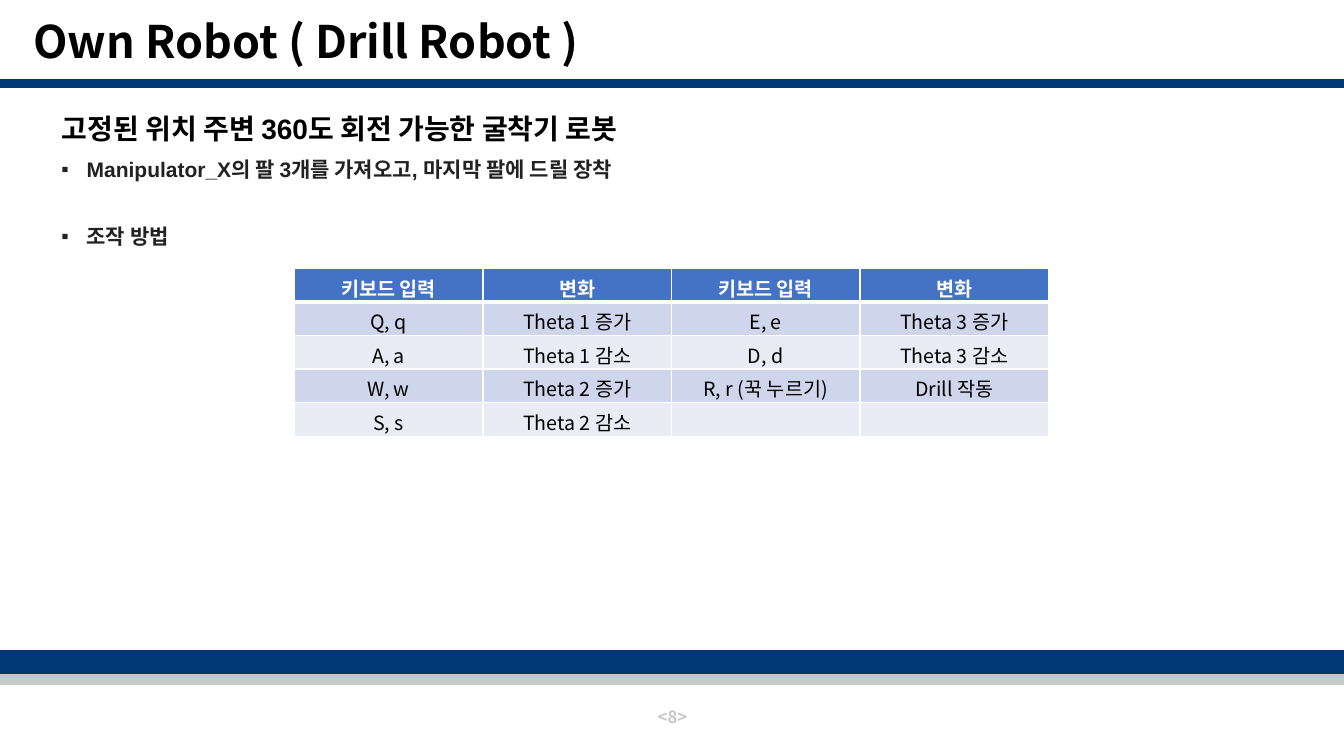
"""Build the drill robot slide with its keyboard control table."""
from lxml.etree import SubElement
from pptx import Presentation
from pptx.dml.color import RGBColor
from pptx.enum.shapes import MSO_SHAPE
from pptx.enum.text import MSO_ANCHOR, MSO_AUTO_SIZE, PP_ALIGN
from pptx.oxml.ns import qn
from pptx.util import Inches, Pt

COLORS = {
    "navy": "003876", "gray": "C7C8CA", "black": "000000", "text": "222222",
    "white": "FFFFFF", "header": "4472C4", "band": "CFD5EA", "light": "E9EBF5",
}
KOREAN_FONT = "Noto Sans CJK KR"


def add_text(paragraph, text, size, color, bold=True, font_name=KOREAN_FONT):
    run = paragraph.add_run()
    run.text = text
    run.font.size = Pt(size)
    run.font.bold = bold
    run.font.color.rgb = RGBColor.from_string(COLORS[color])
    run.font.name = font_name
    SubElement(run.font._element, qn("a:ea"), typeface=KOREAN_FONT)


def add_border(cell, side, width):
    properties = cell._tc.get_or_add_tcPr()
    line = SubElement(properties, qn(f"a:{side}"), w=str(Pt(width)))
    fill = SubElement(line, qn("a:solidFill"))
    SubElement(fill, qn("a:srgbClr"), val=COLORS["white"])


presentation = Presentation()
presentation.slide_width = Inches(13.33)
presentation.slide_height = Inches(7.5)
slide = presentation.slides.add_slide(presentation.slide_layouts[1])

for top, height, color in [(6.53, 0.26, "gray"), (6.46, 0.22, "navy"), (0.79, 0.08, "navy")]:
    bar = slide.shapes.add_shape(
        MSO_SHAPE.RECTANGLE, 0, Inches(top), Inches(13.33), Inches(height))
    bar.shadow.inherit = False
    bar.fill.solid()
    bar.fill.fore_color.rgb = RGBColor.from_string(COLORS[color])
    bar.line.color.rgb = RGBColor.from_string(COLORS[color])
    bar.line.width = Pt(1)

title = slide.shapes.title
title.left, title.top = Inches(0.23), Inches(0.2)
title.width, title.height = Inches(9.52), Inches(0.47)
title.text_frame.auto_size = MSO_AUTO_SIZE.NONE
title.text_frame.vertical_anchor = MSO_ANCHOR.MIDDLE
paragraph = title.text_frame.paragraphs[0]
paragraph.alignment = PP_ALIGN.LEFT
paragraph.line_spacing = 0.9
add_text(paragraph, "Own Robot ( Drill Robot )", 32, "black")

body = slide.placeholders[1]
body.left, body.top = Inches(0.51), Inches(1.09)
body.width, body.height = Inches(12.62), Inches(1.57)
body.text_frame.auto_size = MSO_AUTO_SIZE.NONE
body_lines = [
    ("고정된 위치 주변 360도 회전 가능한 굴착기 로봇", 20, "black", 0, None),
    ("Manipulator_X의 팔 3개를 가져오고, 마지막 팔에 드릴 장착", 15, "text", 10, "▪"),
    ("조작 방법", 15, "text", 32, "▪"),
]
for index, (text, size, color, space_before, bullet) in enumerate(body_lines):
    paragraph = body.text_frame.paragraphs[0] if index == 0 else body.text_frame.add_paragraph()
    paragraph.line_spacing = 0.9
    paragraph.space_before = Pt(space_before)
    properties = paragraph._p.get_or_add_pPr()
    indent = Inches(0.25) if bullet else 0
    properties.set("marL", str(indent))
    properties.set("indent", str(-indent))
    if bullet:
        SubElement(properties, qn("a:buChar"), char=bullet)
    else:
        SubElement(properties, qn("a:buNone"))
    add_text(paragraph, text, size, color, font_name="Arial")

page_number = slide.shapes.add_textbox(Inches(5.17), Inches(6.91), Inches(3), Inches(0.4))
page_number.text_frame.word_wrap = True
page_number.text_frame.vertical_anchor = MSO_ANCHOR.MIDDLE
paragraph = page_number.text_frame.paragraphs[0]
paragraph.alignment = PP_ALIGN.CENTER
add_text(paragraph, "<8>", 12, "gray")

controls = [
    ["키보드 입력", "변화", "키보드 입력", "변화"],
    ["Q, q", "Theta 1 증가", "E, e", "Theta 3 증가"],
    ["A, a", "Theta 1 감소", "D, d", "Theta 3 감소"],
    ["W, w", "Theta 2 증가", "R, r (꾹 누르기)", "Drill 작동"],
    ["S, s", "Theta 2 감소", "", ""],
]
table = slide.shapes.add_table(
    5, 4, Inches(2.92), Inches(2.66), Inches(7.48), Inches(1.65)).table
for row_index, row in enumerate(controls):
    is_header = row_index == 0
    fill_color = "header" if is_header else "band" if row_index % 2 else "light"
    for column_index, text in enumerate(row):
        cell = table.cell(row_index, column_index)
        for side in ("lnL", "lnR", "lnT", "lnB"):
            header_edge = (row_index, side) in [(0, "lnB"), (1, "lnT")]
            add_border(cell, side, 3 if header_edge else 1)
        cell.fill.solid()
        cell.fill.fore_color.rgb = RGBColor.from_string(COLORS[fill_color])
        paragraph = cell.text_frame.paragraphs[0]
        paragraph.alignment = PP_ALIGN.CENTER
        if text:
            add_text(paragraph, text, 14, "white" if is_header else "black", is_header)
        else:
            paragraph.font.size = Pt(14)

presentation.save("out.pptx")
